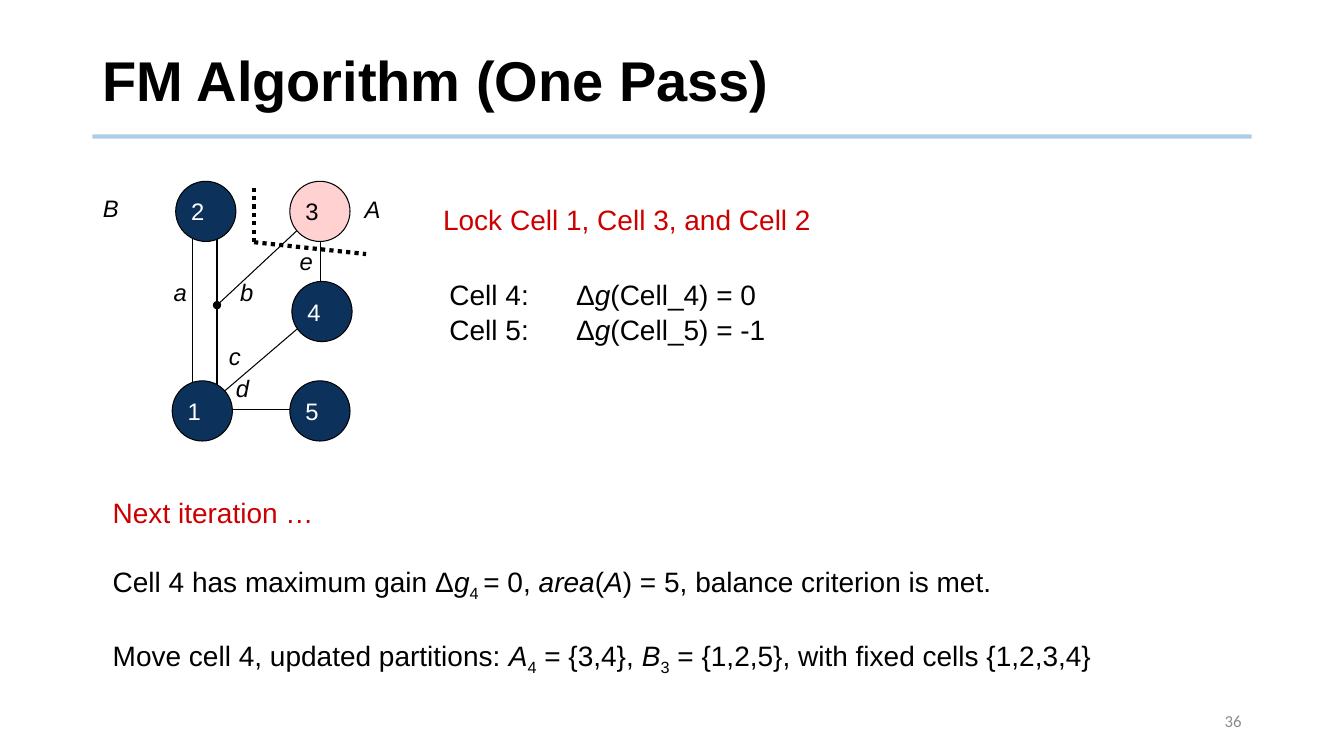
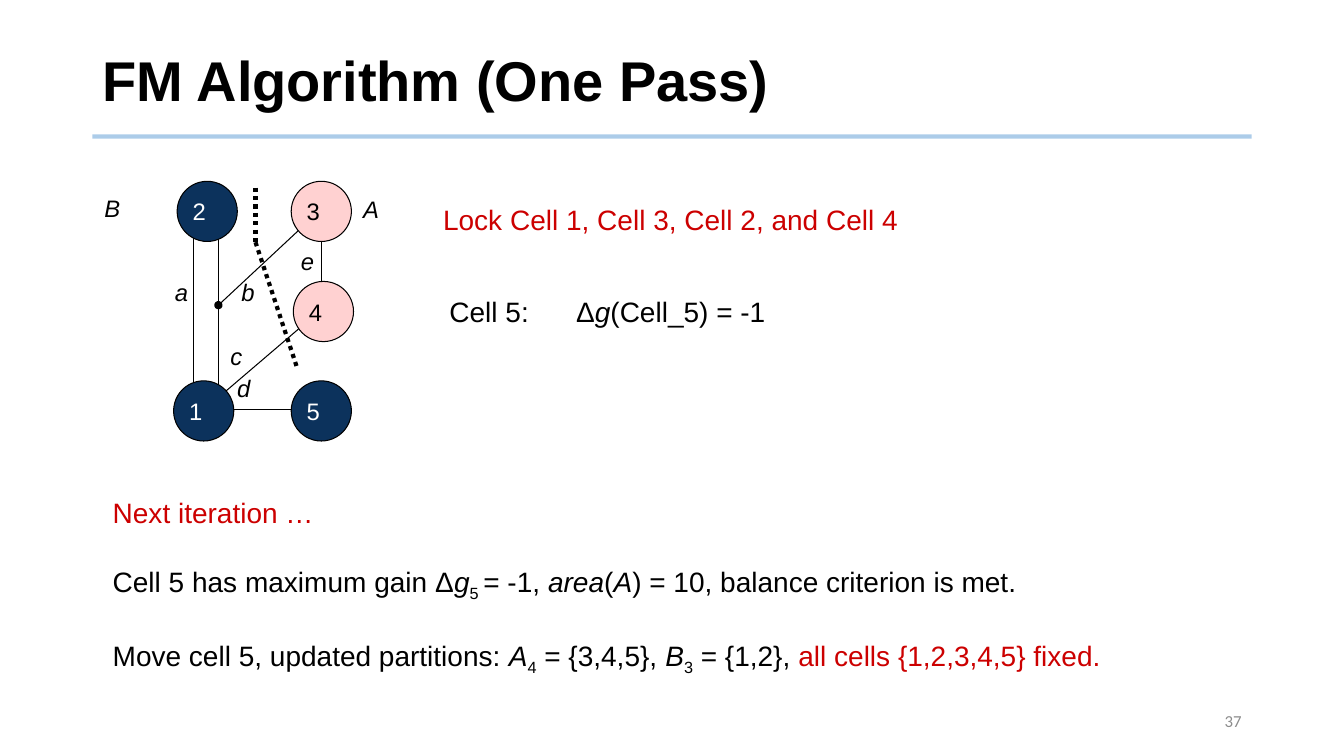
from itertools import pairwise
from lxml import etree
from pptx import Presentation
from pptx.dml.color import RGBColor
from pptx.enum.dml import MSO_LINE
from pptx.enum.shapes import MSO_CONNECTOR, MSO_SHAPE
from pptx.enum.text import MSO_ANCHOR, PP_ALIGN
from pptx.oxml.ns import qn
from pptx.util import Pt

BLACK, WHITE, RED, GREY = "000000", "FFFFFF", "CC0000", "8C8C8C"
NAVY, PINK, BLUE = "0C325C", "FFD1D1", "5B9BD5"
TITLE = "FM Algorithm (One Pass)"
NEXT = [("Next iteration …", "red")]

# Runs are (text, style): "" plain, "i" italic, "sub" subscript, "red"
SLIDES = [
    {"page": "36", "shift": 0, "side": 252.5, "pink": "3",
     "cut": [(181.5, 134), (181.5, 173), (261.5, 181.5)],
     "lock": "Lock Cell 1, Cell 3, and Cell 2",
     "gains": [("4", "0"), ("5", "-1")],
     "move": ("4", "0", "5"),
     "parts": ("{3,4}", "{1,2,5}"),
     "end": [("with fixed cells {1,2,3,4}", "")]},
    {"page": "37", "shift": 1, "side": 250.5, "pink": "34",
     "cut": [(181.5, 134), (181.5, 173), (211.5, 263.5)],
     "lock": "Lock Cell 1, Cell 3, Cell 2, and Cell 4",
     "gains": [("5", "-1")],
     "move": ("5", "-1", "10"),
     "parts": ("{3,4,5}", "{1,2}"),
     "end": [("all cells {1,2,3,4,5} fixed.", "red")]},
]

# Graph: cell centres, net lines and labels, in points
RADIUS = 21.5
CELLS = {"1": (144.5, 293.5), "3": (228.5, 151), "4": (230, 222.5),
         "2": (147, 151), "5": (228.5, 293.5)}
HUB = (155, 218)
NETS = [(HUB, (229, 149)), ((155, 161), (155, 292)), ((229, 147), (229, 218)),
        ((137.5, 149), (137.5, 281)), ((227.5, 222), (152, 286.5)),
        ((150.5, 292.5), (236, 292.5))]
LABELS = {"B": (65.5, 134.5), "a": (116, 195), "b": (163.5, 194.5),
          "c": (155.5, 240.5), "d": (160.5, 263.5), "e": (206, 173)}


def paint(hue):
    return RGBColor.from_string(hue)


def style(font, size, hue, name="Arial"):
    font.size, font.name = Pt(size), name
    font.color.rgb = paint(hue)


def line(slide, start, end, hue=BLACK, width=0.75):
    item = slide.shapes.add_connector(
        MSO_CONNECTOR.STRAIGHT, *[Pt(v) for v in (*start, *end)])
    item.line.color.rgb = paint(hue)
    item.line.width = Pt(width)
    etree.SubElement(item._element.spPr, qn("a:effectLst"))
    return item


def frame(shape, pads, anchor):
    body = shape.text_frame
    body.word_wrap = True
    body.vertical_anchor = anchor
    (body.margin_left, body.margin_top,
     body.margin_right, body.margin_bottom) = [Pt(v) for v in pads]
    return body


def box(slide, area, rows, size=20, pads=(15, 3.6, 7.2, 5),
        anchor=MSO_ANCHOR.MIDDLE, gap=0, tab=0):
    shape = slide.shapes.add_textbox(*[Pt(v) for v in area])
    body = frame(shape, pads, anchor)
    for num, row in enumerate(rows):
        para = body.add_paragraph() if num else body.paragraphs[0]
        if num:
            para.space_before = Pt(gap)
        if tab:
            stops = etree.SubElement(para._p.get_or_add_pPr(), qn("a:tabLst"))
            etree.SubElement(stops, qn("a:tab"), pos=str(Pt(tab)), algn="l")
        for text, kind in row:
            run = para.add_run()
            run.text = text
            style(run.font, size, RED if kind == "red" else BLACK)
            run.font.italic = kind == "i"
            if kind == "sub":
                run.font._element.set("baseline", "-25000")
    return body


def label(slide, text, left, top):
    box(slide, (left, top, 30, 28), [[(text, "i")]], 17,
        (8, 3.6, 8, 3.6), MSO_ANCHOR.TOP)


def graph(slide, data):
    def slid(point):
        return point[0] + data["shift"], point[1]

    # Nets, the first with a dot at the hub
    for start, end in NETS:
        net = line(slide, slid(start), slid(end))
        if start == HUB:
            etree.SubElement(net.line._get_or_add_ln(), qn("a:headEnd"), type="oval")
    # Cells
    for name, spot in CELLS.items():
        x, y = slid(spot)
        cell = slide.shapes.add_shape(
            MSO_SHAPE.OVAL, Pt(x - RADIUS), Pt(y - RADIUS), Pt(2 * RADIUS), Pt(2 * RADIUS))
        fixed = name in data["pink"]
        cell.shadow.inherit = False
        cell.fill.solid()
        cell.fill.fore_color.rgb = paint(PINK if fixed else NAVY)
        cell.line.color.rgb = paint(BLACK)
        cell.line.width = Pt(0.75)
        para = frame(cell, (4.8, 0, 0, 0), MSO_ANCHOR.MIDDLE).paragraphs[0]
        para.text = name
        para.alignment = PP_ALIGN.LEFT
        style(para.runs[0].font, 17, BLACK if fixed else WHITE)
    # Labels
    for name, spot in LABELS.items():
        label(slide, name, *slid(spot))
    label(slide, "A", *slid((data["side"], 135.5)))
    # Cut between the two parts
    for start, end in pairwise(data["cut"]):
        part = line(slide, slid(start), slid(end), width=3)
        part.line.dash_style = MSO_LINE.ROUND_DOT


def base(slide, page):
    # Title
    title = slide.shapes.title
    title.left, title.top, title.width, title.height = Pt(66), Pt(20), Pt(828), Pt(79.5)
    body = frame(title, (7.2, 3.6, 7.2, 3.6), MSO_ANCHOR.MIDDLE)
    body.text = TITLE
    para = body.paragraphs[0]
    para.alignment = PP_ALIGN.LEFT
    para.line_spacing = 0.9
    style(para.runs[0].font, 40, BLACK)
    para.runs[0].font.bold = True
    # Rule under the title
    rule = line(slide, (66, 97.5), (894, 97.5), BLUE, 3)
    tone = rule.line._get_or_add_ln().find(".//" + qn("a:srgbClr"))
    etree.SubElement(tone, qn("a:alpha"), val="50000")
    # Page number
    foot = box(slide, (678, 500.5, 216, 28.5), [[(page, "")]], 12,
               (7.2, 3.6, 7.2, 3.6)).paragraphs[0]
    foot.alignment = PP_ALIGN.RIGHT
    style(foot.runs[0].font, 12, GREY, "Calibri")


def notes(slide, data):
    cell, gain, area = data["move"]
    left, right = data["parts"]
    best = [(f"Cell {cell} has maximum gain Δ", ""), ("g", "i"), (f"{cell} ", "sub"),
            (f"= {gain}, ", ""), ("area", "i"), ("(", ""), ("A", "i"),
            (f") = {area}, balance criterion is met.", "")]
    moved = [(f"Move cell {cell}, updated partitions: ", ""), ("A", "i"), ("4", "sub"),
             (f" = {left}, ", ""), ("B", "i"), ("3", "sub"), (f" = {right}, ", "")]
    gains = [[(f"Cell {name}:\tΔ", ""), ("g", "i"), (f"(Cell_{name}) = {value}", "")]
             for name, value in data["gains"]]
    box(slide, (65.5, 354, 828, 130.5), [NEXT, best, moved + data["end"]], gap=25.6)
    box(slide, (306, 194.5, 248.5, 57.5), gains, gap=1.3, tab=90.5)
    box(slide, (301.5, 141, 358, 33), [[(data["lock"], "red")]])


def main():
    deck = Presentation()
    deck.slide_width, deck.slide_height = Pt(960), Pt(540)
    for data in SLIDES:
        slide = deck.slides.add_slide(deck.slide_layouts[5])
        base(slide, data["page"])
        graph(slide, data)
        notes(slide, data)
    deck.save("out.pptx")


if __name__ == "__main__":
    main()
